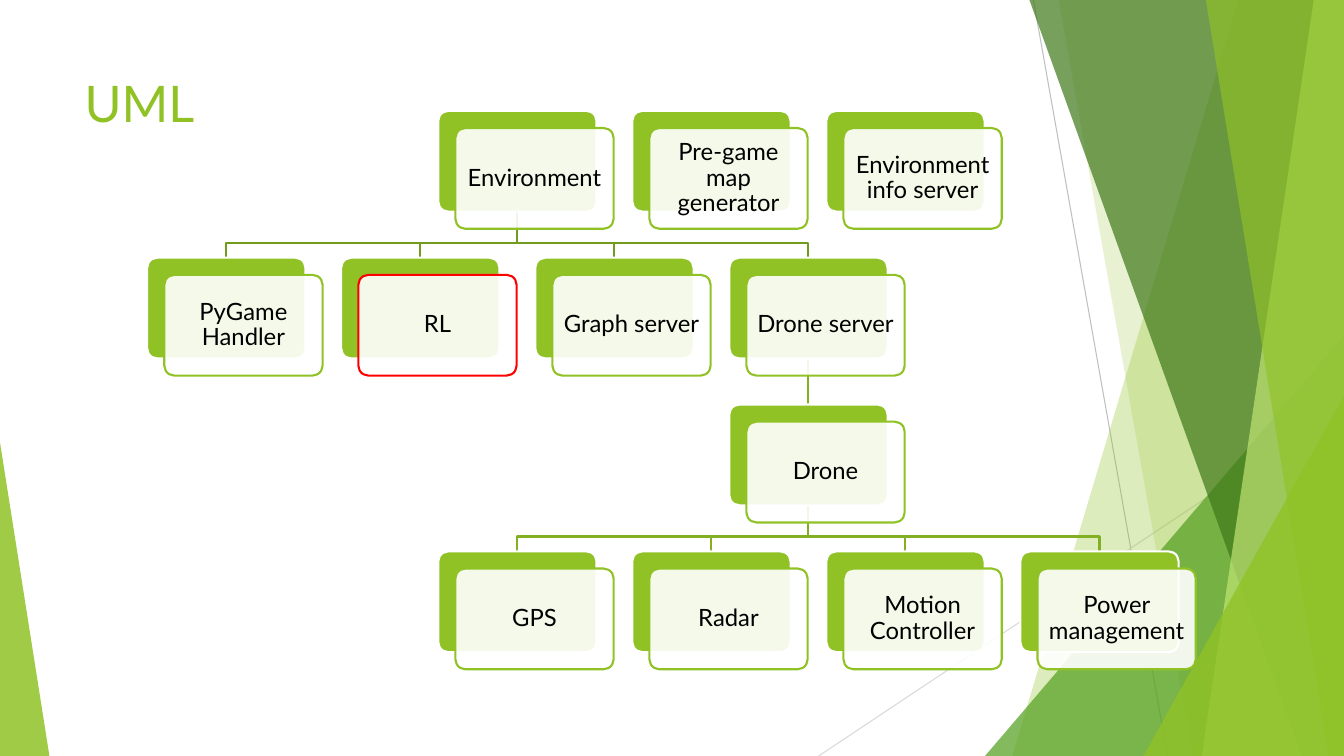
from dataclasses import dataclass
from typing import Optional

from lxml.etree import SubElement
from pptx import Presentation
from pptx.dml.color import RGBColor
from pptx.enum.shapes import MSO_CONNECTOR as Connector, MSO_SHAPE as Preset
from pptx.enum.text import MSO_ANCHOR as Anchor, PP_ALIGN as Align
from pptx.oxml.ns import qn
from pptx.shapes.autoshape import Shape
from pptx.shapes.base import BaseShape
from pptx.slide import Slide
from pptx.util import Inches, Pt


@dataclass(frozen=True)
class Theme:
    font: str = "Lato"
    title_size: int = 36
    card_size: int = 17
    line_width: float = 1.5
    hairline: float = 0.75
    green: str = "90C226"
    mid_green: str = "54A021"
    dark_green: str = "3F7819"
    pale_green: str = "C0E474"
    upper_link: str = "739B1E"
    lower_link: str = "83B022"
    white: str = "FFFFFF"
    black: str = "000000"
    red: str = "FF0000"
    grey: str = "BFBFBF"
    light_grey: str = "D9D9D9"


THEME = Theme()
WIDTH, HEIGHT = 13.33, 7.5
CARD_WIDTH, CARD_HEIGHT = 1.57, 1.0
FRONT_OFFSET = 0.17
BEND_DROP = 0.31
GRID_LEFT, GRID_TOP = 1.46, 1.1
COLUMN_STEP = (10.12 - GRID_LEFT) / 4.5
ROW_STEP = (5.47 - GRID_TOP) / 3


@dataclass(frozen=True)
class Panel:
    """Background band reaching the right edge; x values at its left corners."""
    top_x: float
    bottom_x: float
    color: str
    opacity: int


@dataclass(frozen=True)
class Corner:
    """Right triangle standing on the bottom edge."""
    left: float
    top: float
    width: float
    peak: float
    color: str
    opacity: int


@dataclass(frozen=True)
class Card:
    name: str
    column: float
    row: int
    parent: Optional[str] = None
    border: str = THEME.green


BACKGROUND = [
    Panel(12.28, 10.04, THEME.green, 30),
    Panel(10.5, 11.83, THEME.green, 20),
    Corner(9.77, 3.33, 3.56, 1, THEME.mid_green, 72),
    Panel(10.21, 12.91, THEME.dark_green, 70),
    Panel(13.03, 11.92, THEME.pale_green, 70),
    Panel(11.96, 13.18, THEME.green, 65),
    Corner(11.34, 3.93, 1.99, 1, THEME.green, 80),
    Corner(0, 4.39, 0.49, 0, THEME.green, 85),
]
CARDS = [
    Card("Environment", 1.5, 0),
    Card("Pre-game map generator", 2.5, 0),
    Card("Environment info server", 3.5, 0),
    Card("PyGame Handler", 0, 1, "Environment"),
    Card("RL", 1, 1, "Environment", THEME.red),
    Card("Graph server", 2, 1, "Environment"),
    Card("Drone server", 3, 1, "Environment"),
    Card("Drone", 3, 2, "Drone server"),
    Card("GPS", 1.5, 3, "Drone"),
    Card("Radar", 2.5, 3, "Drone"),
    Card("Motion Controller", 3.5, 3, "Drone"),
    Card("Power management", 4.5, 3, "Drone"),
]


def paint(shape: Shape, color: str, opacity: int = 100) -> None:
    shape.shadow.inherit = False
    shape.fill.solid()
    shape.fill.fore_color.rgb = RGBColor.from_string(color)
    if opacity < 100:
        tint = shape.element.spPr.find(f"{qn('a:solidFill')}/{qn('a:srgbClr')}")
        SubElement(tint, qn("a:alpha")).set("val", str(opacity * 1000))


def outline(shape: BaseShape, color: str, width: float = THEME.line_width) -> None:
    shape.line.color.rgb = RGBColor.from_string(color)
    shape.line.width = Pt(width)


def add_line(page: Slide, start: tuple[float, float], end: tuple[float, float],
             color: str, width: float) -> BaseShape:
    ends = [Inches(value) for value in (*start, *end)]
    line = page.shapes.add_connector(Connector.STRAIGHT, *ends)
    outline(line, color, width)
    SubElement(line.element.spPr, qn("a:effectLst"))
    return line


def add_panel(page: Slide, panel: Panel) -> None:
    corners = [(WIDTH, 0), (WIDTH, HEIGHT), (panel.bottom_x, HEIGHT)]
    builder = page.shapes.build_freeform(Inches(panel.top_x), 0)
    builder.add_line_segments([(Inches(x), Inches(y)) for x, y in corners])
    shape = builder.convert_to_shape()
    paint(shape, panel.color, panel.opacity)
    shape.line.fill.background()


def add_corner(page: Slide, corner: Corner) -> None:
    shape = page.shapes.add_shape(
        Preset.ISOSCELES_TRIANGLE, Inches(corner.left), Inches(corner.top),
        Inches(corner.width), Inches(HEIGHT - corner.top))
    shape.adjustments[0] = corner.peak
    paint(shape, corner.color, corner.opacity)
    shape.line.fill.background()


def write(shape: Shape, text: str, size: int, color: str) -> None:
    shape.text_frame.word_wrap = True
    para = shape.text_frame.paragraphs[0]
    para.text = text
    para.font.name = THEME.font
    para.font.size = Pt(size)
    para.font.color.rgb = RGBColor.from_string(color)


def add_plate(page: Slide, left: float, top: float, fill: str, border: str,
              opacity: int = 100) -> Shape:
    plate = page.shapes.add_shape(
        Preset.ROUNDED_RECTANGLE, Inches(left), Inches(top),
        Inches(CARD_WIDTH), Inches(CARD_HEIGHT))
    plate.adjustments[0] = 0.1
    paint(plate, fill, opacity)
    outline(plate, border)
    return plate


def add_card(page: Slide, card: Card) -> Shape:
    """Draw both plates of a card and return the back one, which links join."""
    left = GRID_LEFT + card.column * COLUMN_STEP
    top = GRID_TOP + card.row * ROW_STEP
    back = add_plate(page, left, top, THEME.green, THEME.white)
    front = add_plate(page, left + FRONT_OFFSET, top + FRONT_OFFSET,
                      THEME.white, card.border, 90)
    write(front, card.name, THEME.card_size, THEME.black)
    frame = front.text_frame
    frame.vertical_anchor = Anchor.MIDDLE
    frame.margin_left = frame.margin_right = Inches(0.05)
    frame.margin_top = frame.margin_bottom = Inches(0.07)
    frame.paragraphs[0].alignment = Align.CENTER
    frame.paragraphs[0].line_spacing = 0.9
    return back


def add_link(page: Slide, parent: Shape, child: Shape, color: str) -> BaseShape:
    """Join cards by a straight connector, or a bent path if columns differ."""
    start_x = parent.left + parent.width // 2
    end_x = child.left + child.width // 2
    start_y = parent.top + parent.height
    if start_x == end_x:
        link = add_line(page, (0, 0), (1, 1), color, THEME.line_width)
        link.begin_connect(parent, 2)
        link.end_connect(child, 0)
        return link
    bend_y = start_y + Inches(BEND_DROP)
    builder = page.shapes.build_freeform(start_x, start_y)
    builder.add_line_segments(
        [(start_x, bend_y), (end_x, bend_y), (end_x, child.top)], close=False)
    link = builder.convert_to_shape()
    link.shadow.inherit = False
    link.fill.background()
    outline(link, color)
    return link


def main() -> None:
    deck = Presentation()
    deck.slide_width, deck.slide_height = Inches(WIDTH), Inches(HEIGHT)
    page = deck.slides.add_slide(deck.slide_layouts[6])
    add_line(page, (10.25, 0), (11.58, HEIGHT), THEME.grey, THEME.hairline)
    add_line(page, (WIDTH, 4.03), (8.12, HEIGHT), THEME.light_grey, THEME.hairline)
    for item in BACKGROUND:
        if isinstance(item, Panel):
            add_panel(page, item)
        else:
            add_corner(page, item)
    title = page.shapes.add_textbox(Inches(0.74), Inches(0.67), Inches(9.4), Inches(1.44))
    write(title, "UML", THEME.title_size, THEME.green)

    plates = {card.name: add_card(page, card) for card in CARDS}
    lowest_plate = plates[CARDS[0].name]
    for card in CARDS:
        if card.parent:
            color = THEME.upper_link if card.row == 1 else THEME.lower_link
            link = add_link(page, plates[card.parent], plates[card.name], color)
            lowest_plate.element.addprevious(link.element)
    deck.save("out.pptx")


if __name__ == "__main__":
    main()
